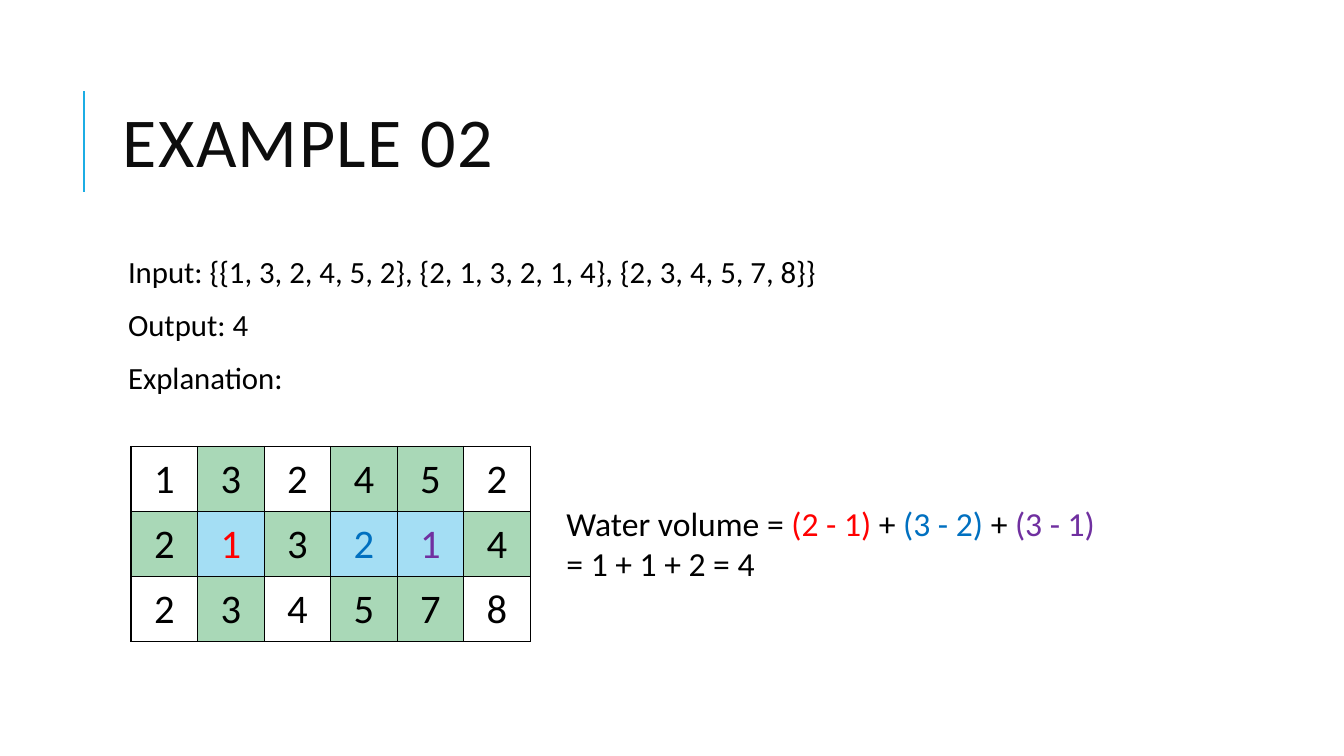
from lxml import etree
from pptx import Presentation
from pptx.dml import color as c
from pptx.enum import shapes, text
from pptx.oxml import ns
from pptx.util import Inches, Pt

BLACK, RED, BLUE, PURPLE = "000000", "FF0000", "0070C0", "7030A0"
WALL, WATER = "A9D8B7", "A4DEF4"
HEIGHTS = [[1, 3, 2, 4, 5, 2], [2, 1, 3, 2, 1, 4], [2, 3, 4, 5, 7, 8]]
WALL_CELLS = {(0, 1), (0, 3), (0, 4), (1, 0), (1, 2), (1, 5), (2, 1), (2, 3), (2, 4)}
WATER_CELLS = {(1, 1): RED, (1, 3): BLUE, (1, 4): PURPLE}


def rgb(value):
    return c.RGBColor.from_string(value)


def add_run(paragraph, words, size, color=BLACK):
    run = paragraph.add_run()
    run.text = words
    run.font.name = "Calibri"
    run.font.size = Pt(size)
    run.font.color.rgb = rgb(color)
    return run


def add_text_frame(slide, box, wrap=True):
    frame = slide.shapes.add_textbox(*map(Inches, box)).text_frame
    frame.word_wrap = wrap
    return frame


def add_paragraph(frame, index):
    return frame.add_paragraph() if index else frame.paragraphs[0]


def add_title(slide, box):
    left, top, width, height = box
    line_x, line_top = Inches(left - 0.29), top + 0.26
    line = slide.shapes.add_connector(
        shapes.MSO_CONNECTOR.STRAIGHT, line_x, Inches(line_top + 1), line_x, Inches(line_top))
    line.line.color.rgb = rgb("1CADE4")
    line.line.width = Pt(1.5)
    etree.SubElement(line._element.spPr, ns.qn("a:effectLst"))

    frame = add_text_frame(slide, box)
    frame.vertical_anchor = text.MSO_ANCHOR.MIDDLE
    paragraph = frame.paragraphs[0]
    paragraph.line_spacing = 0.8
    run = add_run(paragraph, "EXAMPLE 02", 50, "0D0D0D")
    run.font._element.set("spc", "100")


def add_problem(slide, box):
    frame = add_text_frame(slide, box)
    frame.margin_left = Inches(0.15)
    frame.margin_top = frame.margin_right = frame.margin_bottom = Inches(0.05)
    rows = ", ".join("{" + ", ".join(map(str, row)) + "}" for row in HEIGHTS)
    lines = ["Input: {" + rows + "}", "Output: 4", "Explanation:"]
    for index, words in enumerate(lines):
        paragraph = add_paragraph(frame, index)
        paragraph.line_spacing = 0.9
        paragraph.space_before = Pt(12)
        paragraph.space_after = Pt(2)
        add_run(paragraph, words, 22)


def add_borders(cell):
    properties = cell._tc.get_or_add_tcPr()
    for position, side in enumerate(("lnL", "lnR", "lnT", "lnB")):
        border = etree.Element(ns.qn("a:" + side), w=str(Pt(1)))
        fill = etree.SubElement(border, ns.qn("a:solidFill"))
        etree.SubElement(fill, ns.qn("a:srgbClr"), val=BLACK)
        properties.insert(position, border)


def add_height_grid(slide, box):
    row_count, column_count = len(HEIGHTS), len(HEIGHTS[0])
    table = slide.shapes.add_table(row_count, column_count, *map(Inches, box)).table
    table.first_row = table.horz_banding = False
    for column in table.columns:
        column.width = Inches(box[2] / column_count)
    for row_index, row in enumerate(HEIGHTS):
        table.rows[row_index].height = Inches(box[3] / row_count)
        for column_index, height in enumerate(row):
            cell = table.cell(row_index, column_index)
            place = (row_index, column_index)
            cell.margin_left = cell.margin_right = Inches(0.15)
            cell.margin_top = cell.margin_bottom = Inches(0.08)
            cell.vertical_anchor = text.MSO_ANCHOR.MIDDLE
            if place in WALL_CELLS or place in WATER_CELLS:
                cell.fill.solid()
                cell.fill.fore_color.rgb = rgb(WATER if place in WATER_CELLS else WALL)
            else:
                cell.fill.background()
            add_borders(cell)
            paragraph = cell.text_frame.paragraphs[0]
            paragraph.alignment = text.PP_ALIGN.CENTER
            add_run(paragraph, str(height), 29, WATER_CELLS.get(place, BLACK))


def add_volume(slide, box):
    frame = add_text_frame(slide, box, wrap=False)
    frame.auto_size = text.MSO_AUTO_SIZE.SHAPE_TO_FIT_TEXT
    lines = [
        [("Water volume = ", BLACK), ("(2 - 1) ", RED), ("+ ", BLACK),
         ("(3 - 2) ", BLUE), ("+ ", BLACK), ("(3 - 1) ", PURPLE)],
        [("= 1 + 1 + 2 = 4", BLACK)],
    ]
    for index, runs in enumerate(lines):
        paragraph = add_paragraph(frame, index)
        for words, color in runs:
            add_run(paragraph, words, 24, color)


presentation = Presentation()
presentation.slide_width = Inches(13.33)
presentation.slide_height = Inches(7.5)
slide = presentation.slides.add_slide(presentation.slide_layouts[6])
add_title(slide, (1.12, 0.64, 10.63, 1.64))
add_problem(slide, (1.12, 2.5, 10.63, 4.17))
add_height_grid(slide, (1.3, 4.43, 3.96, 1.92))
add_volume(slide, (5.52, 4.94, 5.97, 0.91))
presentation.save("out.pptx")
